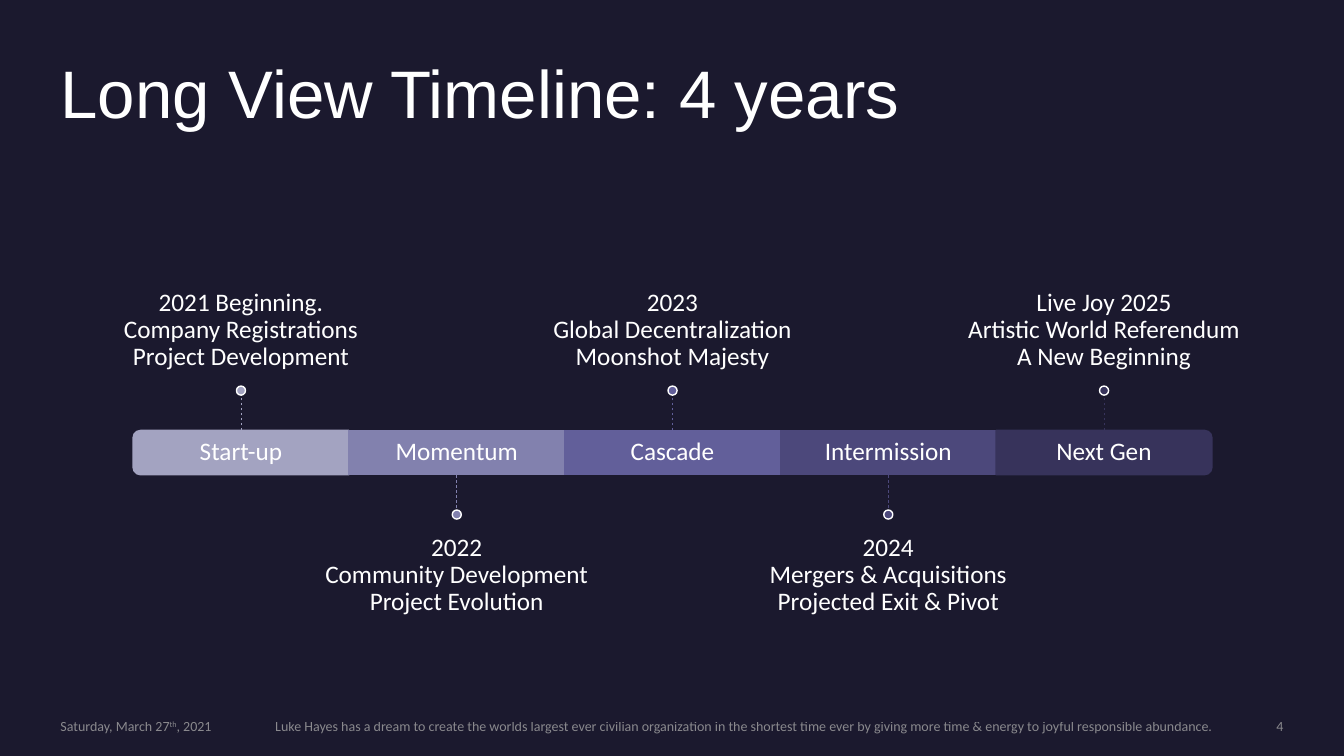
from lxml.etree import SubElement
from pptx import Presentation
from pptx.dml.color import RGBColor
from pptx.enum.dml import MSO_LINE
from pptx.enum.shapes import MSO_CONNECTOR, MSO_SHAPE
from pptx.enum.text import MSO_ANCHOR, PP_ALIGN
from pptx.oxml.ns import qn
from pptx.util import Inches, Pt

TITLE = "Long View Timeline: 4 years"
STAGES = [
    ("Start-up", "A3A3C1",
     ["2021 Beginning.", "Company Registrations", "Project Development"]),
    ("Momentum", "8281AE",
     ["2022", "Community Development", "Project Evolution"]),
    ("Cascade", "625F9A",
     ["2023", "Global Decentralization", "Moonshot Majesty"]),
    ("Intermission", "4C487B",
     ["2024", "Mergers & Acquisitions", "Projected Exit & Pivot"]),
    ("Next Gen", "37335B",
     ["Live Joy 2025", "Artistic World Referendum", "A New Beginning"]),
]
DREAM = ("Luke Hayes has a dream to create the worlds largest ever civilian "
         "organization in the shortest time ever by giving more time & energy "
         "to joyful responsible abundance.")
FOOTER = [
    (2.73, 9.41, PP_ALIGN.LEFT, [(DREAM, False)]),
    (0.6, 2.88, PP_ALIGN.LEFT,
     [("Saturday, March 27", False), ("th", True), (", 2021", False)]),
    (10.88, 1.85, PP_ALIGN.RIGHT, [("4", False)]),
]
BACK, WHITE, GREY = "1B192E", "FFFFFF", "A6A6A6"
LEFT, TOP, WIDE, HIGH = 1.32, 4.27, 2.14, 0.44
STEM, DOT, NOTE_W, NOTE_H = 0.35, 0.09, 3.57, 1.52

deck = Presentation()
deck.slide_width, deck.slide_height = Inches(13.33), Inches(7.5)
slide = deck.slides.add_slide(deck.slide_layouts[6])
shapes = slide.shapes


def paint(color, code):
    color.rgb = RGBColor.from_string(code)


def draw(kind, x, y, w, h, fill, line, turn=0):
    shape = shapes.add_shape(kind, Inches(x), Inches(y), Inches(w), Inches(h))
    shape.rotation = turn
    shape.shadow.inherit = False
    shape.fill.solid()
    paint(shape.fill.fore_color, fill)
    paint(shape.line.color, line)
    shape.line.width = Pt(1)
    return shape


def write(x, y, w, h, rows, size=18, face="Calibri", code=WHITE,
          align=PP_ALIGN.CENTER, anchor=MSO_ANCHOR.MIDDLE, pad=(0, 0),
          space=0.9, alpha=None):
    frame = shapes.add_textbox(Inches(x), Inches(y), Inches(w), Inches(h)).text_frame
    frame.word_wrap = True
    frame.vertical_anchor = anchor
    frame.margin_left = frame.margin_right = 0
    frame.margin_top, frame.margin_bottom = Inches(pad[0]), Inches(pad[1])
    para = frame.paragraphs[0]
    para.alignment, para.line_spacing = align, space
    para.font.size, para.font.name = Pt(size), face
    for i, row in enumerate(rows):
        if i:
            para.add_line_break()
        for text, raised in row:
            run = para.add_run()
            run.text = text
            run.font.size, run.font.name = Pt(size), face
            paint(run.font.color, code)
            props = run.font._element
            if raised:
                props.set("baseline", "30000")
            if alpha:
                SubElement(props.find(".//" + qn("a:srgbClr")),
                           qn("a:alpha"), val=str(alpha * 1000))


def stage(i, label, code, lines):
    x = LEFT + i * WIDE
    mid = x + WIDE / 2
    if i in (0, len(STAGES) - 1):
        bar = draw(MSO_SHAPE.ROUND_2_SAME_RECTANGLE, mid - HIGH / 2,
                   TOP + HIGH / 2 - WIDE / 2, HIGH, WIDE, code, code,
                   90 if i else 270)
    else:
        bar = draw(MSO_SHAPE.RECTANGLE, x, TOP, WIDE, HIGH, code, code)
    write(x, TOP, WIDE, HIGH, [[(label, False)]])

    below = i % 2 == 1
    if below:
        start, end = TOP + HIGH, TOP + HIGH + STEM
        dot, note = end, end + DOT
        anchor, pad = MSO_ANCHOR.TOP, (0.15, 0)
    else:
        start, end = TOP, TOP - STEM
        dot = end - DOT
        note = dot - NOTE_H
        anchor, pad = MSO_ANCHOR.BOTTOM, (0, 0.15)
    write(mid - NOTE_W / 2, note, NOTE_W, NOTE_H,
          [[(line, False)] for line in lines], anchor=anchor, pad=pad)
    stem = shapes.add_connector(MSO_CONNECTOR.STRAIGHT, Inches(mid),
                                Inches(start), Inches(mid), Inches(end))
    if not bar.rotation:
        stem.begin_connect(bar, 2 if below else 0)
    paint(stem.line.color, code)
    stem.line.width = Pt(0.5)
    stem.line.dash_style = MSO_LINE.DASH
    SubElement(stem._element.spPr, qn("a:effectLst"))
    draw(MSO_SHAPE.OVAL, mid - DOT / 2, dot, DOT, DOT, code, WHITE)


slide.background.fill.solid()
paint(slide.background.fill.fore_color, BACK)
write(0.6, 0.6, 12.13, 1.46, [[(TITLE, False)]], 48, "Arial",
      align=PP_ALIGN.LEFT, anchor=MSO_ANCHOR.TOP)
for i, (label, code, lines) in enumerate(STAGES):
    stage(i, label, code, lines)
for x, w, align, row in FOOTER:
    write(x, 7.12, w, 0.17, [row], 10, code=GREY, align=align, space=1.0, alpha=80)

deck.save("out.pptx")
